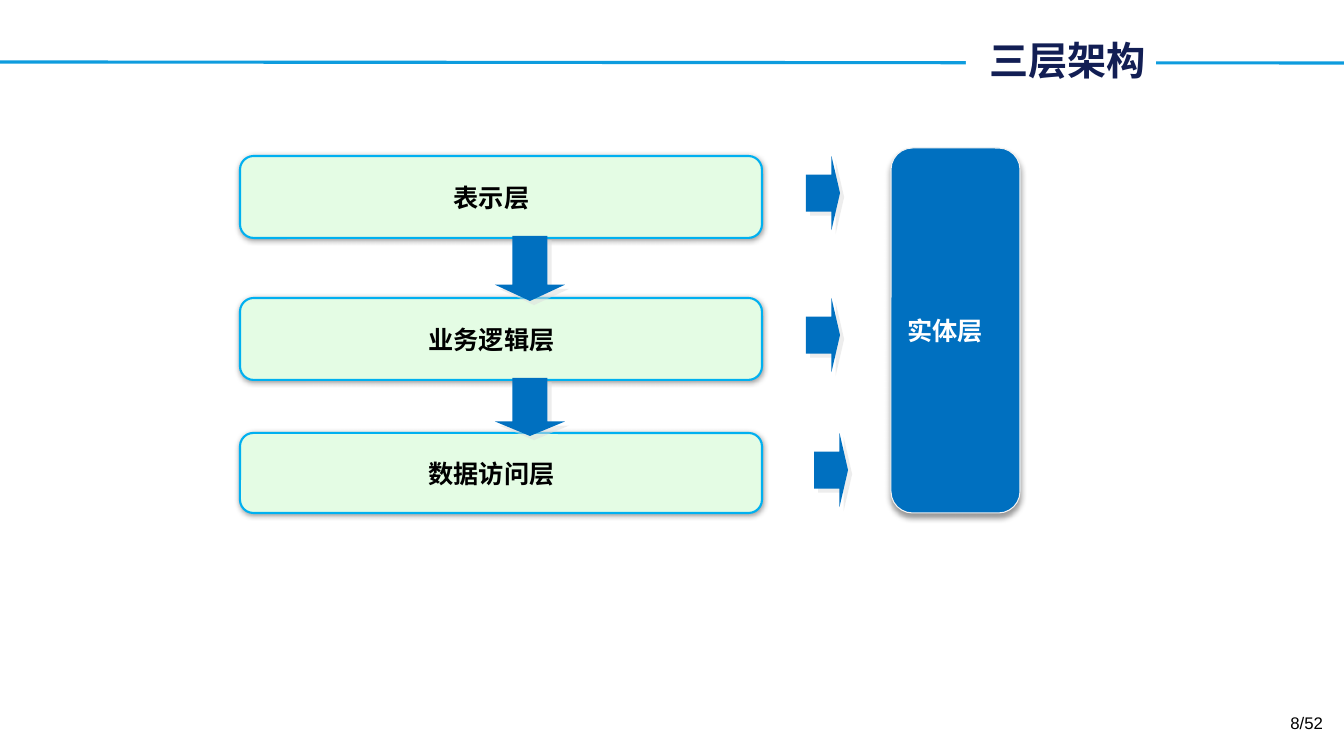
"""Build the three-layer architecture slide."""
from lxml import etree
from pptx import Presentation
from pptx import util as u
from pptx.dml.color import RGBColor
from pptx.enum import shapes, text
from pptx.oxml import ns

COLORS = {
    "bg": "FFFFFF", "rule": "0E9CDE", "title": "121E54", "ink": "000000",
    "layer": "E4FCE4", "edge": "00B0F0", "blue": "0070C0", "pale": "F2F2F2",
    "gray": "DDDDDD",
}
ROUND = shapes.MSO_SHAPE.ROUNDED_RECTANGLE
DOWN = shapes.MSO_SHAPE.DOWN_ARROW
LEFT, CENTER, RIGHT = text.PP_ALIGN.LEFT, text.PP_ALIGN.CENTER, text.PP_ALIGN.RIGHT
PX = 914400 / 100.8


def px(n):
    """Turn pixels into EMU."""
    return u.Emu(round(n * PX))


def rgb(name):
    """Look up a named colour."""
    return RGBColor.from_string(COLORS[name])


class Deck:
    """Hold the style and the current slide."""

    latin, cjk = "Arial", "Noto Sans CJK SC"

    def __init__(self, width, height):
        """Open a blank slide of the given size."""
        self.prs = Presentation()
        self.prs.slide_width, self.prs.slide_height = px(width), px(height)
        self.s = self.prs.slides.add_slide(self.prs.slide_layouts[6])
        self.s.background.fill.solid()
        self.s.background.fill.fore_color.rgb = rgb("bg")

    def caption(self, sp, words, size, color, align, bold=True,
                anchor=text.MSO_ANCHOR.MIDDLE):
        """Put one run of text in a shape."""
        tf = sp.text_frame
        tf.word_wrap = True
        tf.vertical_anchor = anchor
        p = tf.paragraphs[0]
        p.alignment = align
        r = p.add_run()
        r.text = words
        r.font.name, r.font.size, r.font.bold = self.latin, u.Pt(size), bold
        r.font.color.rgb = rgb(color)
        ea = etree.SubElement(r.font._element, ns.qn("a:ea"))
        ea.set("typeface", self.cjk)

    def label(self, box, words, size, color, fill=None, **style):
        """Add a right-aligned text box."""
        sp = self.s.shapes.add_textbox(*map(px, box))
        if fill:
            sp.fill.solid()
            sp.fill.fore_color.rgb = rgb(fill)
        self.caption(sp, words, size, color, RIGHT, **style)

    def rule(self, x1, y1, x2, y2, color, width):
        """Add a straight line."""
        c = self.s.shapes.add_connector(
            shapes.MSO_CONNECTOR.STRAIGHT, *map(px, (x1, y1, x2, y2)))
        c.line.color.rgb, c.line.width = rgb(color), u.Pt(width)
        etree.SubElement(c._element.spPr, ns.qn("a:effectLst"))

    def shape(self, kind, box, fill, adjust, shadow, edge=None, width=0):
        """Add a filled preset shape with an outer shadow."""
        sp = self.s.shapes.add_shape(kind, *map(px, box))
        for i, value in enumerate(adjust):
            sp.adjustments[i] = value
        sp.fill.solid()
        sp.fill.fore_color.rgb = rgb(fill)
        if edge:
            sp.line.color.rgb, sp.line.width = rgb(edge), u.Pt(width)
        else:
            sp.line.fill.background()
        self.cast(sp, *shadow)
        return sp

    def cast(self, sp, color, alpha, blur, dist, angle):
        """Give a shape its shadow."""
        sp.shadow.inherit = False
        effects = sp._element.spPr.find(ns.qn("a:effectLst"))
        outer = etree.SubElement(
            effects, ns.qn("a:outerShdw"), blurRad=str(int(u.Pt(blur))),
            dist=str(int(u.Pt(dist))), dir=str(angle * 60000), algn="ctr",
            rotWithShape="0")
        tint = etree.SubElement(outer, ns.qn("a:srgbClr"), val=COLORS[color])
        etree.SubElement(tint, ns.qn("a:alpha"), val=str(alpha * 1000))

    def panel(self, box, words, fill, edge, width, color, align, drop, right=10):
        """Add a rounded box with a bold caption."""
        sp = self.shape(ROUND, box, fill, [0.167], ("ink", 40, 4, drop, 90),
                        edge, width)
        sp.text_frame.margin_right = px(right)
        self.caption(sp, words, 18, color, align)

    def arrow(self, box, turn=0):
        """Add a blue block arrow."""
        sp = self.shape(DOWN, box, "blue", [0.5, 0.25], ("gray", 50, 0, 4.2, 45))
        sp.rotation = turn


def main():
    """Draw the slide and save it."""
    d = Deck(1344, 756)
    d.rule(0, 62, 1344, 63, "rule", 2.25)
    d.label((966, 31, 190, 58), "三层架构", 28, "title", fill="bg")
    d.label((1020, 708, 313, 40), "8/52", 12, "ink", bold=False,
            anchor=text.MSO_ANCHOR.TOP)
    layers = [("表示层", 156, 82, 786), ("业务逻辑层", 298, 82, 786),
              ("数据访问层", 433, 80, 794)]
    for words, top, height, _ in layers:
        d.panel((240, top, 522, height), words, "layer", "edge", 1.5, "ink",
                CENTER, 1, right=29)
    for (_, top, height, _), (_, below, _, _) in zip(layers, layers[1:]):
        start = top + height - 2
        d.arrow((495, start, 70, below + 3 - start))
    d.panel((891, 148, 129, 365), "实体层", "blue", "pale", 0.75, "bg", LEFT, 3)
    for _, top, _, left in layers:
        d.arrow((left, top + 20, 74, 34), turn=270)
    d.prs.save("out.pptx")


if __name__ == "__main__":
    main()
